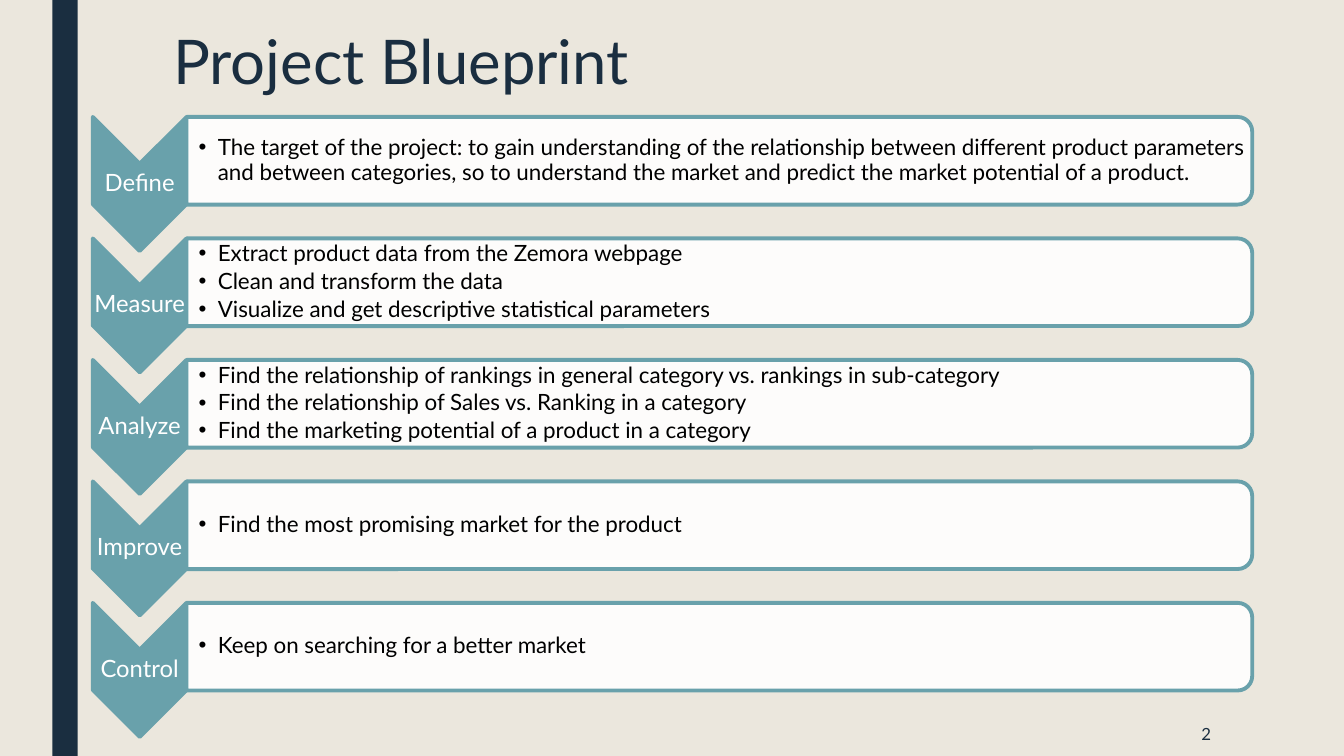
import copy
from dataclasses import dataclass, replace

import lxml.etree
import pptx
import pptx.dml.color
import pptx.enum.shapes
import pptx.enum.text
import pptx.oxml.ns
import pptx.util

WIDE, HIGH = pptx.util.Inches(13.33), pptx.util.Inches(7.5)
PITCH = 16.07  # step between rows, percent of slide height
NAVY, TEAL, SAND, WHITE, BLACK = "1A2E40", "69A1AB", "EBE7DD", "FFFFFF", "000000"
FORMS = pptx.enum.shapes.MSO_SHAPE
ALIGN = pptx.enum.text.PP_ALIGN
ANCHOR = pptx.enum.text.MSO_ANCHOR


@dataclass(frozen=True)
class Box:
    """Place in percent of the slide's width and height."""
    left: float
    top: float
    width: float
    height: float

    def down(self, row: int) -> "Box":
        return replace(self, top=self.top + row * PITCH)

    def size(self) -> dict:
        return dict(left=int(WIDE * self.left / 100), top=int(HIGH * self.top / 100),
                    width=int(WIDE * self.width / 100), height=int(HIGH * self.height / 100))


@dataclass(frozen=True)
class Phase:
    name: str
    tasks: tuple[str, ...]


TITLE = Box(12.15, 3.6, 86.27, 12.93)
STRIPE = Box(3.9, 0, 1.88, 100)
ARROW = Box(6.9, 15.47, 6.98, 17.73)
LABEL = Box(6.9, 21.6, 6.98, 5.33)
BAR = Box(13.88, 15.47, 79.29, 11.6)
LIST = Box(13.88, 16, 79, 10.53)
NUMBER = Box(77.72, 94.13, 13.13, 5.87)

PHASES = (
    Phase("Define", (
        "The target of the project: to gain understanding of the relationship between "
        "different product parameters and between categories, so to understand the market "
        "and predict the market potential of a product.",)),
    Phase("Measure", (
        "Extract product data from the Zemora webpage",
        "Clean and transform the data",
        "Visualize and get descriptive statistical parameters")),
    Phase("Analyze", (
        "Find the relationship of rankings in general category vs. rankings in sub-category",
        "Find the relationship of Sales vs. Ranking in a category",
        "Find the marketing potential of a product in a category")),
    Phase("Improve", ("Find the most promising market for the product",)),
    Phase("Control", ("Keep on searching for a better market",)),
)


def color(code: str) -> pptx.dml.color.RGBColor:
    return pptx.dml.color.RGBColor.from_string(code)


def assign(thing, values: dict) -> None:
    for name, value in values.items():
        setattr(thing, name, value)


def write(shape, box: Box, lines: tuple[str, ...], points: float, ink: str,
          frame: dict, para: dict) -> None:
    """Place a text shape and fill it with paragraphs."""
    assign(shape, box.size())
    text = shape.text_frame
    assign(text, dict(word_wrap=True, auto_size=pptx.enum.text.MSO_AUTO_SIZE.NONE) | frame)
    for spot, line in enumerate(lines):
        item = text.paragraphs[0] if spot == 0 else text.add_paragraph()
        assign(item, dict(space_before=pptx.util.Pt(0)) | para)
        run = item.add_run()
        run.text = line
        assign(run.font, dict(name="Lato", size=pptx.util.Pt(points)))
        run.font.color.rgb = color(ink)


def bullet(item) -> None:
    """Give a paragraph a hanging round bullet."""
    props = item._p.get_or_add_pPr()
    hang = pptx.util.Inches(0.19)
    props.set("marL", str(hang))
    props.set("indent", str(-hang))
    mark = lxml.etree.SubElement(props, pptx.oxml.ns.qn("a:buChar"))
    mark.set("char", "•")


def draw(slide, form, box: Box, fill: str, edge: str = "", turned: bool = False,
         alpha: int = 100) -> None:
    """Draw a preset shape; a turned one fills its box after a quarter turn."""
    place = box.size()
    if turned:
        wide, high = place["width"], place["height"]
        shift = (wide - high) // 2
        place = dict(left=place["left"] + shift, top=place["top"] - shift,
                     width=high, height=wide)
    shape = slide.shapes.add_shape(form, **place)
    shape.rotation = 90 if turned else 0
    shape.shadow.inherit = False
    shape.fill.solid()
    shape.fill.fore_color.rgb = color(fill)
    if alpha < 100:
        paint = shape._element.spPr.find(".//" + pptx.oxml.ns.qn("a:srgbClr"))
        lxml.etree.SubElement(paint, pptx.oxml.ns.qn("a:alpha")).set("val", str(alpha * 1000))
    if edge:
        shape.line.color.rgb = color(edge)
        shape.line.width = pptx.util.Pt(2.75)
    else:
        shape.line.fill.background()


def extend(layout, count: int) -> None:
    """Give the layout one body placeholder per phase."""
    first = next(p for p in layout.placeholders if p.placeholder_format.idx == 1)
    for extra in range(1, count):
        twin = copy.deepcopy(first._element)
        twin.xpath(".//p:cNvPr")[0].set("id", str(20 + extra))
        twin.xpath(".//p:ph")[0].set("idx", str(20 + extra))
        layout.shapes._spTree.append(twin)


def main() -> None:
    deck = pptx.Presentation()
    assign(deck, dict(slide_width=WIDE, slide_height=HIGH))
    layout = deck.slide_layouts[1]
    extend(layout, len(PHASES))
    slide = deck.slides.add_slide(layout)
    slide.background.fill.solid()
    slide.background.fill.fore_color.rgb = color(SAND)
    title, *bodies = slide.placeholders

    # Stripe and title
    draw(slide, FORMS.RECTANGLE, STRIPE, NAVY)
    write(title, TITLE, ("Project Blueprint",), 44, NAVY,
          dict(vertical_anchor=ANCHOR.TOP), dict(alignment=ALIGN.LEFT, line_spacing=0.89))

    # One row per phase: arrow, label, bar, list
    thin = pptx.util.Inches(0.01)
    tight = dict(vertical_anchor=ANCHOR.MIDDLE, margin_left=0, margin_right=0,
                 margin_top=thin, margin_bottom=thin)
    inset = tight | dict(margin_left=pptx.util.Inches(0.12), margin_right=thin)
    for row, (phase, body) in enumerate(zip(PHASES, bodies)):
        draw(slide, FORMS.CHEVRON, ARROW.down(row), TEAL, TEAL, turned=True)
        label = slide.shapes.add_textbox(0, 0, 0, 0)
        write(label, LABEL.down(row), (phase.name,), 17, WHITE, tight,
              dict(alignment=ALIGN.CENTER, line_spacing=0.9, space_after=pptx.util.Pt(6)))
        draw(slide, FORMS.ROUND_2_SAME_RECTANGLE, BAR.down(row), WHITE, TEAL,
             turned=True, alpha=90)
        write(body, LIST.down(row), phase.tasks, 16, BLACK, inset,
              dict(alignment=ALIGN.LEFT, line_spacing=0.9, space_after=pptx.util.Pt(2.4)))
        for item in body.text_frame.paragraphs:
            bullet(item)
        slide.shapes._spTree.append(body._element)  # lift the list above its bar

    # Slide number
    number = slide.shapes.add_textbox(0, 0, 0, 0)
    write(number, NUMBER, ("2",), 12, NAVY,
          dict(vertical_anchor=ANCHOR.MIDDLE), dict(alignment=ALIGN.RIGHT))
    deck.save("out.pptx")


if __name__ == "__main__":
    main()
